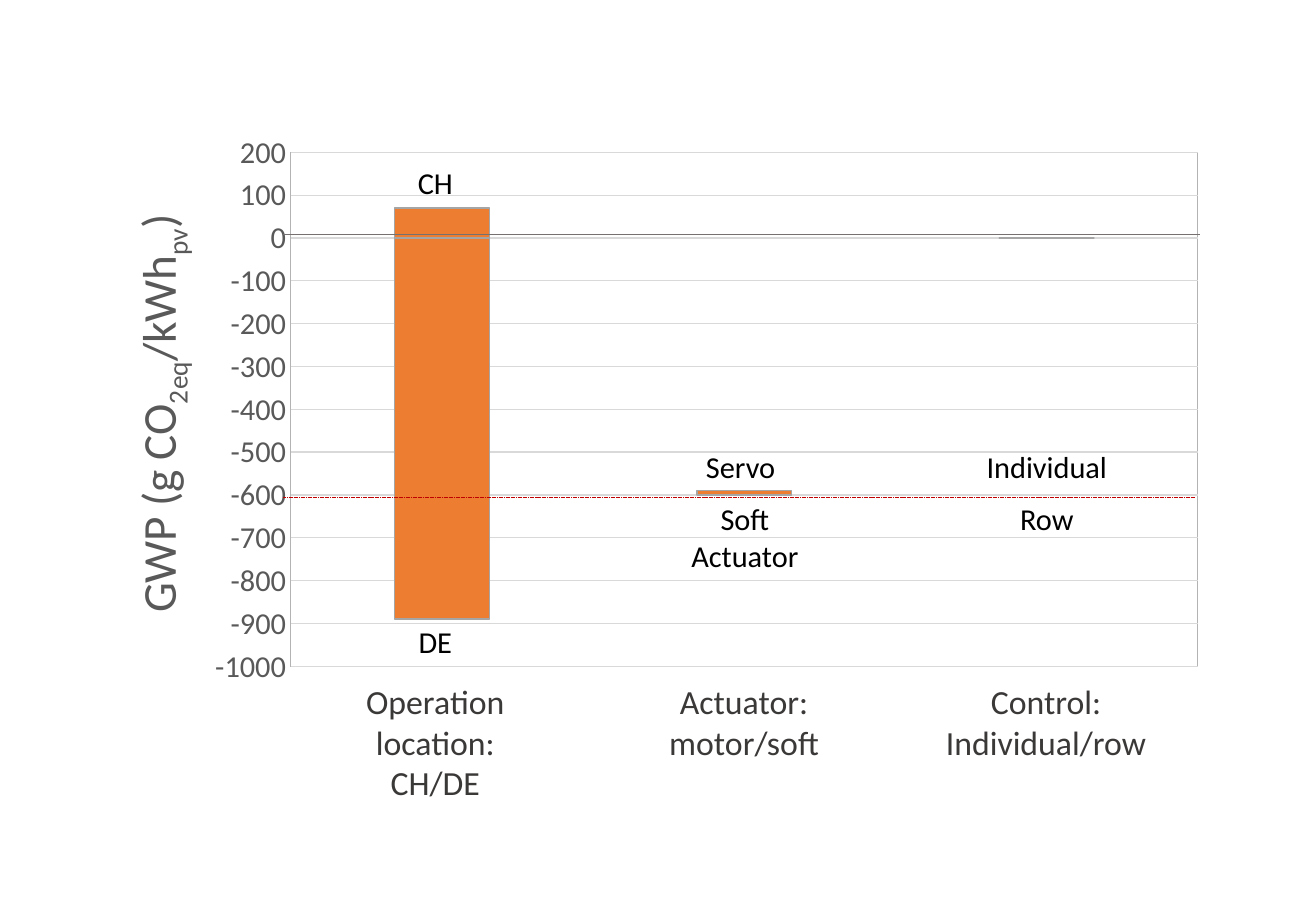
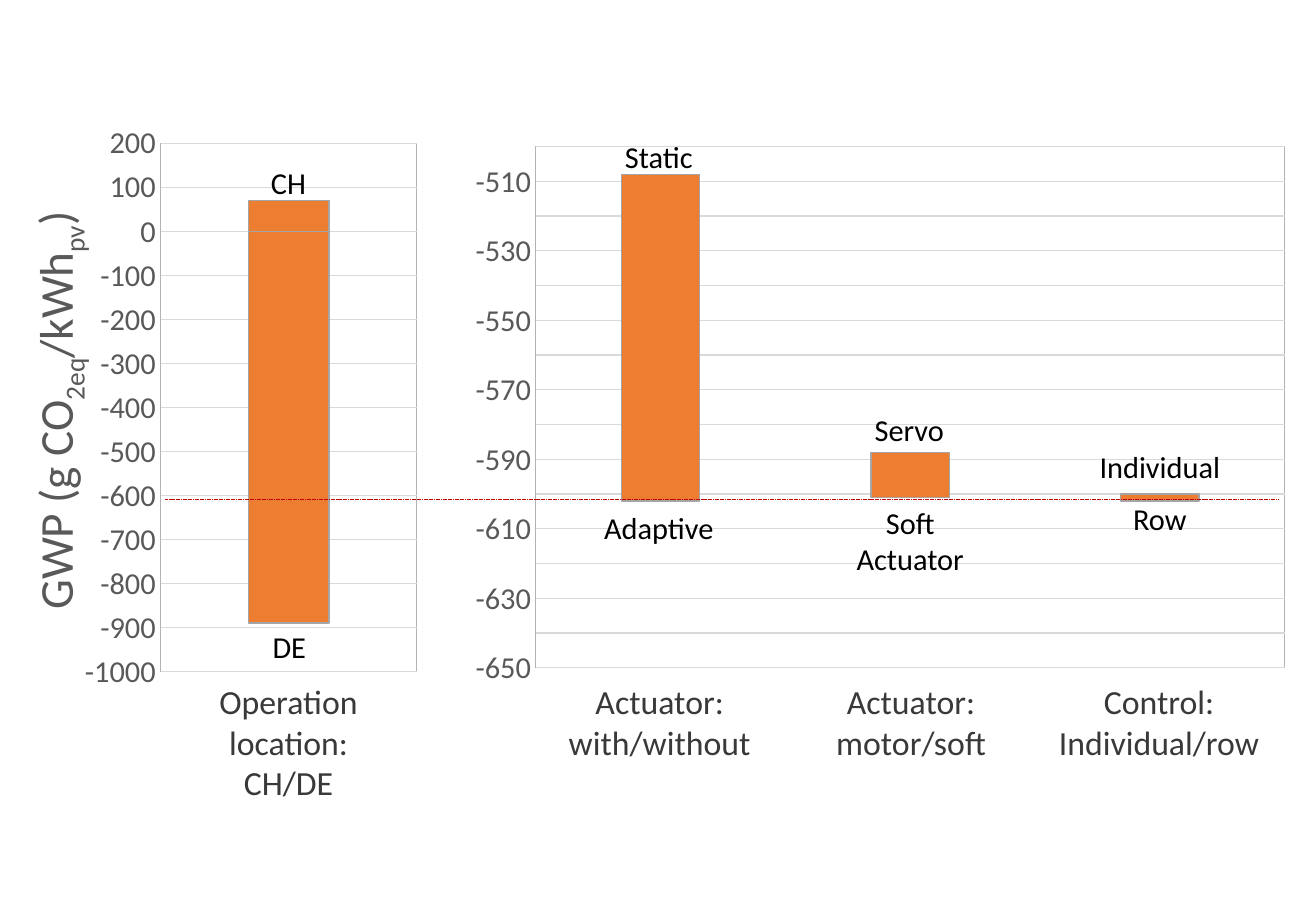
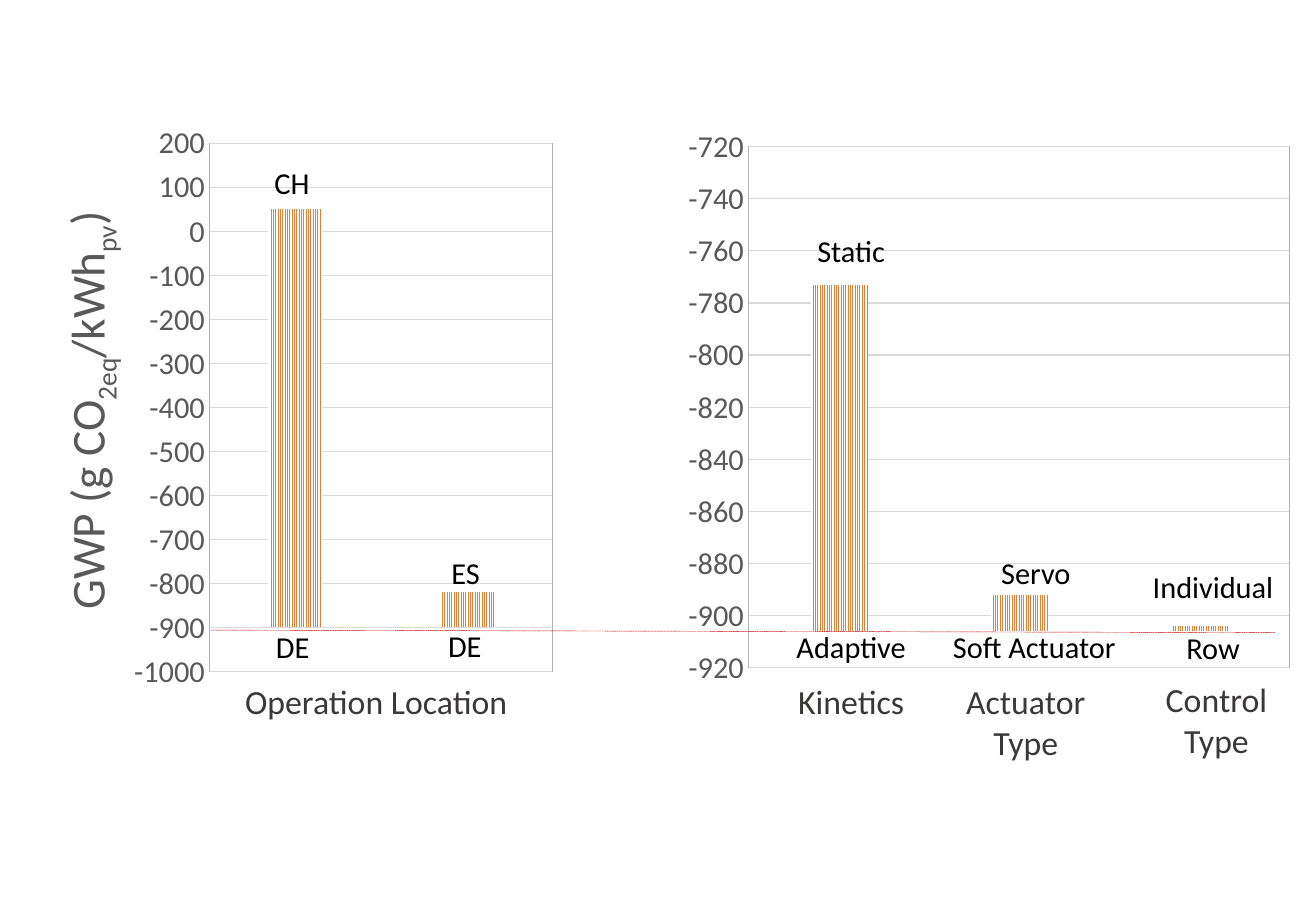
"""Build three slides comparing the GWP range of design choices in stacked column charts."""
from pptx import Presentation
from pptx.chart.data import CategoryChartData
from pptx.dml.color import RGBColor
from pptx.enum.chart import XL_CHART_TYPE, XL_TICK_MARK
from pptx.enum.dml import MSO_LINE, MSO_PATTERN
from pptx.enum.shapes import MSO_CONNECTOR
from pptx.enum.text import MSO_AUTO_SIZE, PP_ALIGN
from pptx.oxml import parse_xml
from pptx.oxml.ns import nsdecls, qn
from pptx.util import Pt

FONT = "Calibri"
ORANGE, OUTLINE, WHITE = "ED7D31", "A5A5A5", "FFFFFF"
AXIS_TEXT, GRID, BORDER = "595959", "D9D9D9", "B3B3B3"
LABEL_TEXT, CAPTION_TEXT = "000000", "3B3838"
RED, GREY = "C00000", "767171"
AXIS_TITLE = [("GWP (g CO", False), ("2eq", True), ("/kWh", False), ("pv", True), (")", False)]
LEFT_PLOT = (0.338, 0.041, 0.596, 0.921)
RIGHT_PLOT = (0.117, 0.041, 0.857, 0.909)

SLIDES = [
    {
        "striped": False,
        "charts": [
            {"box": (57, 73, 667, 340), "plot": (0.173, 0.051, 0.806, 0.896), "title_left": 0.026,
             "scale": (-1000, 200, 100), "base": (-890, -590, -600), "range": (70, -10, 0)},
        ],
        "lines": [((168, 294.5), (708, 294.5), RED, 0.25, MSO_LINE.SQUARE_DOT),
                  ((168, 139), (711, 139), GREY, 0.5, None)],
        "captions": [("Operation location: CH/DE", 187, 400, 142, 80),
                     ("Actuator: motor/soft", 370, 400, 142, 56),
                     ("Control:\nIndividual/row", 549, 400, 142, 56)],
        "labels": [("CH", 240.5, 94, 35, 29), ("DE", 240.5, 366, 35, 29),
                   ("Servo", 411, 262, 56, 29), ("Soft\nActuator", 402, 293, 79, 51),
                   ("Individual", 577, 262, 87, 29), ("Row", 597, 293, 47, 29)],
    },
    {
        "striped": False,
        "charts": [
            {"box": (257, 73, 518, 340), "plot": RIGHT_PLOT, "title_left": None,
             "scale": (-650, -500, 10), "base": (-508, -588, -600), "range": (-94, -13, -2)},
            {"box": (9, 71, 255, 340), "plot": LEFT_PLOT, "title_left": 0.017,
             "scale": (-1000, 200, 100), "base": (-890,), "range": (70,)},
        ],
        "lines": [((98, 296), (758, 296), RED, 0.25, MSO_LINE.SQUARE_DOT)],
        "captions": [("Operation location: CH/DE", 100, 400, 142, 80),
                     ("Actuator: with/without", 320, 400, 142, 56),
                     ("Actuator: motor/soft", 469, 400, 142, 56),
                     ("Control:\nIndividual/row", 616, 400, 142, 56)],
        "labels": [("CH", 153.5, 94, 35, 29), ("DE", 154, 369, 35, 29),
                   ("Static", 363, 78.5, 55, 29), ("Adaptive", 350.5, 298, 80, 29),
                   ("Servo", 511, 240, 56, 29), ("Soft\nActuator", 500, 295, 79, 51),
                   ("Individual", 644, 262, 87, 29), ("Row", 664, 293, 47, 29)],
    },
    {
        "striped": True,
        "charts": [
            {"box": (400, 73, 374, 340), "plot": RIGHT_PLOT, "title_left": None,
             "scale": (-920, -720, 20), "base": (-773, -892, -904), "range": (-133, -14, -2)},
            {"box": (9, 71, 341, 340), "plot": LEFT_PLOT, "title_left": 0.068,
             "scale": (-1000, 200, 100), "base": (-900, -820), "range": (50, -80)},
        ],
        "lines": [((125, 373.5), (756, 375), RED, 0.25, MSO_LINE.SQUARE_DOT)],
        "captions": [("Operation Location", 116, 400, 214, 32),
                     ("Kinetics", 433.5, 400, 142, 32),
                     ("Actuator\nType", 537, 400, 142, 56),
                     ("Control\nType", 650, 399, 142, 56)],
        "labels": [("CH", 155.5, 94, 35, 29), ("DE", 156, 369, 35, 29),
                   ("ES", 260, 325, 32, 29), ("DE", 258, 368, 35, 29),
                   ("Static", 477, 134, 55, 29), ("Adaptive", 464.5, 369, 80, 29),
                   ("Servo", 586, 325, 56, 29), ("Soft Actuator", 523.5, 368.5, 179, 29),
                   ("Individual", 675.5, 333, 87, 29), ("Row", 695.5, 369.5, 47, 29)],
    },
]


def color(value):
    return RGBColor.from_string(value)


def paint_bar(bar_format, striped):
    if striped:
        bar_format.fill.patterned()
        bar_format.fill.pattern = MSO_PATTERN.NARROW_VERTICAL
        bar_format.fill.fore_color.rgb = color(ORANGE)
        bar_format.fill.back_color.rgb = color(WHITE)
        bar_format.line.fill.background()
    else:
        bar_format.fill.solid()
        bar_format.fill.fore_color.rgb = color(ORANGE)
        bar_format.line.color.rgb = color(OUTLINE)
        bar_format.line.width = Pt(0.75)


presentation = Presentation()
presentation.slide_width, presentation.slide_height = Pt(780), Pt(540)

for content in SLIDES:
    slide = presentation.slides.add_slide(presentation.slide_layouts[6])

    for item in content["charts"]:
        chart_data = CategoryChartData()
        chart_data.categories = [str(number + 1) for number in range(len(item["base"]))]
        chart_data.add_series("Series 1", item["base"])
        chart_data.add_series("Series 2", item["range"])
        box = [Pt(length) for length in item["box"]]
        chart = slide.shapes.add_chart(XL_CHART_TYPE.COLUMN_STACKED, *box, chart_data).chart
        chart.has_legend = False
        chart.has_title = False
        chart.font.name, chart.font.size = FONT, Pt(10)
        chart.font.color.rgb = color(LABEL_TEXT)
        chart.category_axis.visible = False

        plot = chart.plots[0]
        plot.gap_width, plot.overlap = 219, 100
        plot.vary_by_categories = False
        base_series, range_series = plot.series
        base_series.invert_if_negative = range_series.invert_if_negative = False
        base_series.format.fill.background()
        base_series.format.line.fill.background()
        paint_bar(range_series.format, content["striped"])
        if item["range"][0] > 0:
            paint_bar(base_series.points[0].format, content["striped"])
            for point in base_series.points[0].format.fill and chart.element.iter(qn("c:dPt")):
                point.insert(1, parse_xml(f'<c:invertIfNegative {nsdecls("c")} val="0"/>'))

        axis = chart.value_axis
        axis.minimum_scale, axis.maximum_scale, axis.major_unit = item["scale"]
        axis.major_tick_mark = axis.minor_tick_mark = XL_TICK_MARK.NONE
        axis.format.line.fill.background()
        axis.major_gridlines.format.line.color.rgb = color(GRID)
        axis.major_gridlines.format.line.width = Pt(0.75)
        axis.tick_labels.font.name, axis.tick_labels.font.size = FONT, Pt(18)
        axis.tick_labels.font.color.rgb = color(AXIS_TEXT)

        plot_area = chart.element.find(".//" + qn("c:plotArea"))
        plot_area.append(parse_xml(
            f'<c:spPr {nsdecls("c", "a")}><a:noFill/><a:ln w="0"><a:solidFill>'
            f'<a:srgbClr val="{BORDER}"/></a:solidFill></a:ln></c:spPr>'))
        layouts = [(plot_area, 0, '<c:layoutTarget val="inner"/>', item["plot"])]

        if item["title_left"] is not None:
            paragraph = axis.axis_title.text_frame.paragraphs[0]
            for text, subscript in AXIS_TITLE:
                run = paragraph.add_run()
                run.text = text
                run.font.name, run.font.size, run.font.bold = FONT, Pt(28), False
                run.font.color.rgb = color(AXIS_TEXT)
            title = axis.axis_title.element
            for properties, (text, subscript) in zip(title.iter(qn("a:rPr")), AXIS_TITLE):
                if subscript:
                    properties.set("baseline", "-25000")
            body = title.find(".//" + qn("a:bodyPr"))
            body.set("rot", "-5400000")
            body.set("vert", "horz")
            layouts.append((title, 1, "", (item["title_left"], 0.153)))

        for parent, position, target, fractions in layouts:
            for old_layout in parent.findall(qn("c:layout")):
                parent.remove(old_layout)
            modes = "".join(f'<c:{name}Mode val="edge"/>' for name in "xy")
            sizes = "".join(f'<c:{name} val="{value}"/>' for name, value in zip("xywh", fractions))
            parent.insert(position, parse_xml(
                f'<c:layout {nsdecls("c")}><c:manualLayout>{target}{modes}{sizes}'
                '</c:manualLayout></c:layout>'))

    for start, end, line_color, width, dash in content["lines"]:
        ends = [Pt(length) for length in start + end]
        connector = slide.shapes.add_connector(MSO_CONNECTOR.STRAIGHT, *ends)
        connector.line.color.rgb = color(line_color)
        connector.line.width = Pt(width)
        connector.line.dash_style = dash
        connector.element.spPr.append(parse_xml(f'<a:effectLst {nsdecls("a")}/>'))

    for kind, size, text_color in (("captions", 20, CAPTION_TEXT), ("labels", 18, LABEL_TEXT)):
        for text, *box in content[kind]:
            shape = slide.shapes.add_textbox(*[Pt(length) for length in box])
            text_frame = shape.text_frame
            text_frame.word_wrap = kind == "captions"
            text_frame.auto_size = MSO_AUTO_SIZE.SHAPE_TO_FIT_TEXT
            text_frame.text = text
            for paragraph in text_frame.paragraphs:
                paragraph.alignment = PP_ALIGN.CENTER
                for run in paragraph.runs:
                    run.font.name, run.font.size = FONT, Pt(size)
                    run.font.color.rgb = color(text_color)

presentation.save("out.pptx")
